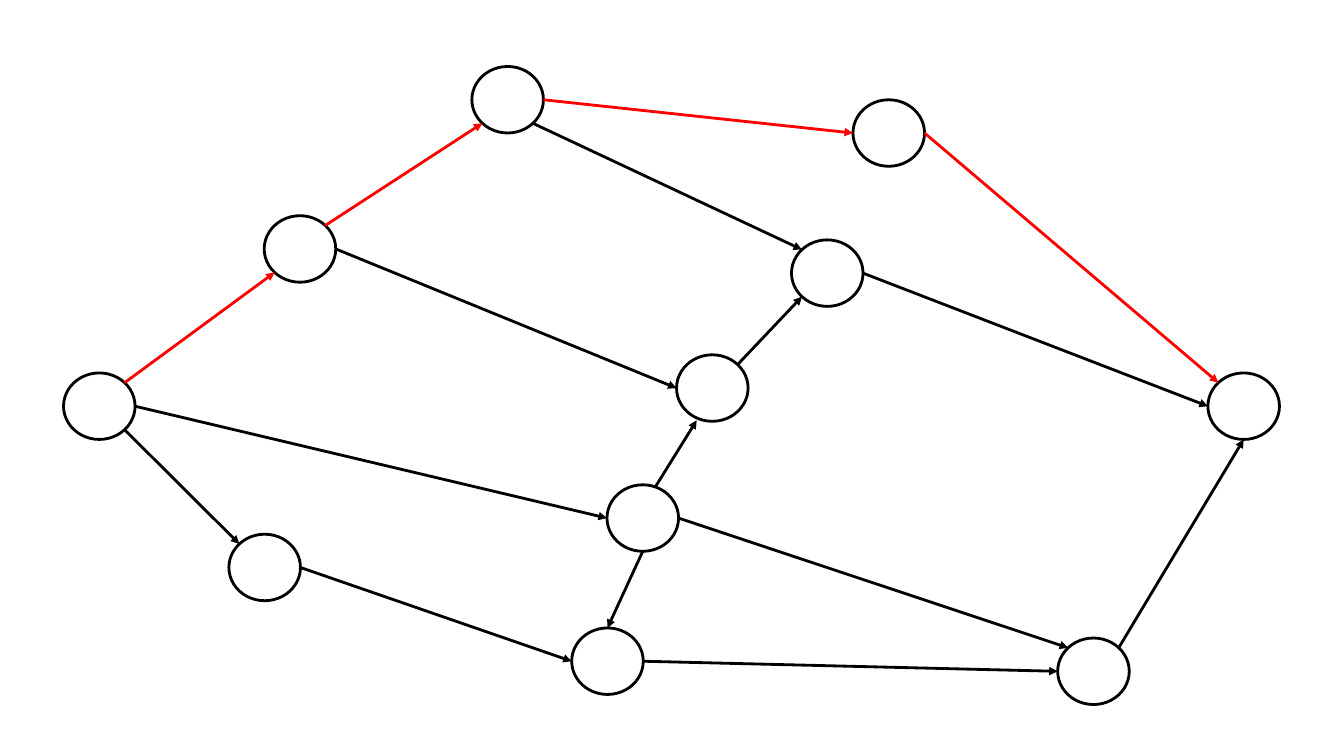
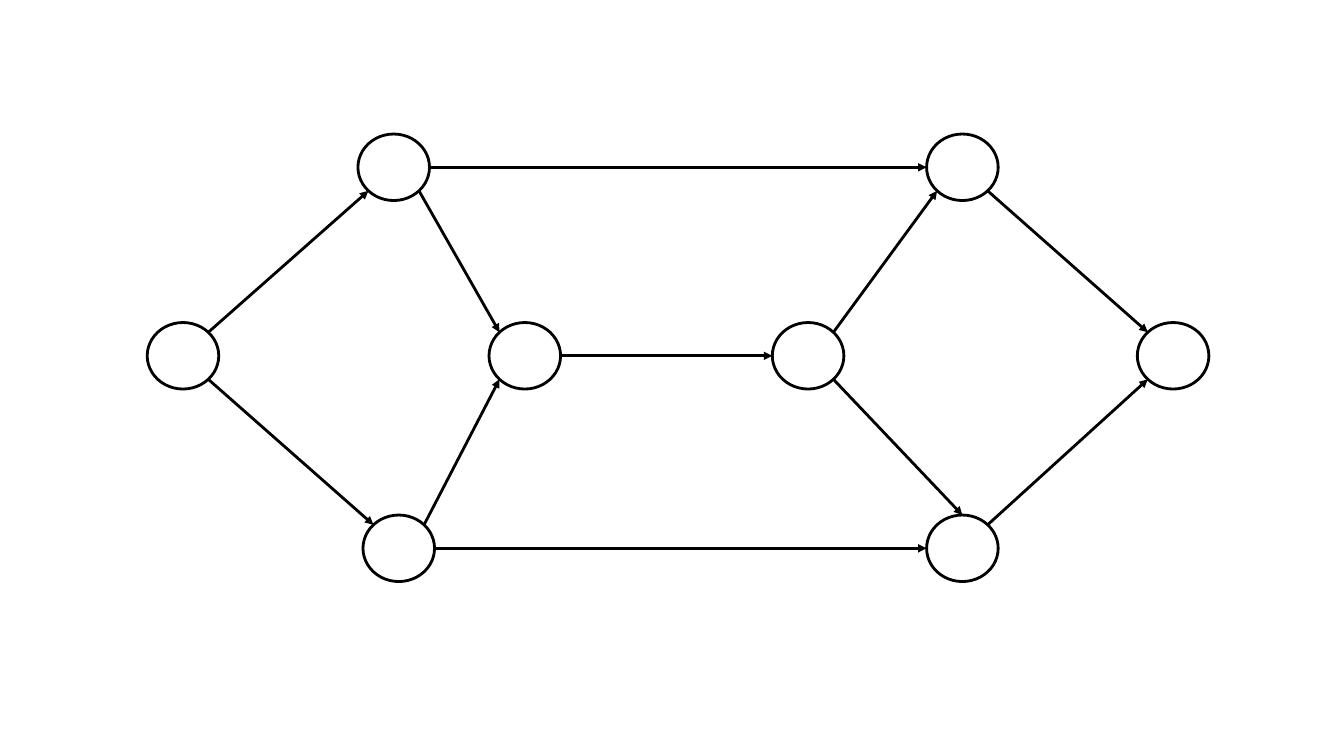
"""Build two slides of directed network diagrams with glued arrows."""
from dataclasses import dataclass
from enum import IntEnum
from math import cos, pi, sin

from lxml.etree import SubElement
from pptx import Presentation
from pptx.dml.color import RGBColor
from pptx.enum.shapes import MSO_CONNECTOR as Connector, MSO_SHAPE as Preset
from pptx.oxml.ns import qn
from pptx.shapes.autoshape import Shape
from pptx.shapes.connector import Connector as Arrow
from pptx.slide import Slide
from pptx.util import Inches, Pt

COLORS = {"line": "000000", "critical": "FF0000"}
NODE_WIDTH, NODE_HEIGHT = 0.71, 0.66
LINE_WIDTH = Pt(2)
Point = tuple[float, float]


class Site(IntEnum):
    TOP = 0
    TOP_LEFT = 1
    LEFT = 2
    BOTTOM_LEFT = 3
    BOTTOM = 4
    BOTTOM_RIGHT = 5
    RIGHT = 6
    TOP_RIGHT = 7


@dataclass(frozen=True)
class Link:
    source: str
    leave: Site
    target: str
    enter: Site
    color: str = "line"


@dataclass(frozen=True)
class FreeArrow:
    start: Point
    end: Point
    color: str = "line"


@dataclass(frozen=True)
class Network:
    nodes: dict[str, Point]
    links: tuple[Link, ...]
    free_arrows: tuple[FreeArrow, ...] = ()


ROUTES = Network(
    nodes={
        "start": (0.63, 3.7),
        "low": (2.27, 5.3),
        "high": (2.62, 2.14),
        "upper": (7.85, 2.38),
        "last": (10.49, 6.33),
        "peak": (4.68, 0.66),
        "crest": (8.46, 0.99),
        "base": (5.67, 6.23),
        "finish": (11.98, 3.7),
        "hub": (6.02, 4.81),
        "middle": (6.71, 3.52),
    },
    links=(
        Link("start", Site.TOP_RIGHT, "high", Site.BOTTOM_LEFT, "critical"),
        Link("high", Site.TOP_RIGHT, "peak", Site.BOTTOM_LEFT, "critical"),
        Link("start", Site.BOTTOM_RIGHT, "low", Site.TOP_LEFT),
        Link("last", Site.TOP_RIGHT, "finish", Site.BOTTOM),
        Link("crest", Site.RIGHT, "finish", Site.TOP_LEFT, "critical"),
        Link("hub", Site.RIGHT, "last", Site.TOP_LEFT),
        Link("upper", Site.RIGHT, "finish", Site.LEFT),
        Link("hub", Site.BOTTOM, "base", Site.TOP),
        Link("low", Site.RIGHT, "base", Site.LEFT),
        Link("peak", Site.RIGHT, "crest", Site.LEFT, "critical"),
        Link("base", Site.RIGHT, "last", Site.LEFT),
        Link("start", Site.RIGHT, "hub", Site.LEFT),
        Link("high", Site.RIGHT, "middle", Site.LEFT),
        Link("middle", Site.TOP_RIGHT, "upper", Site.BOTTOM_LEFT),
        Link("peak", Site.BOTTOM_RIGHT, "upper", Site.TOP_LEFT),
    ),
    free_arrows=(FreeArrow((6.5, 4.83), (6.91, 4.17)),),
)

TOP_ROW, MIDDLE_ROW, BOTTOM_ROW = 1.33, 3.2, 5.11
BRIDGE = Network(
    nodes={
        "start": (1.46, MIDDLE_ROW),
        "low": (3.6, BOTTOM_ROW),
        "high": (3.55, TOP_ROW),
        "far low": (9.19, BOTTOM_ROW),
        "split": (7.66, MIDDLE_ROW),
        "far high": (9.19, TOP_ROW),
        "finish": (11.28, MIDDLE_ROW),
        "merge": (4.85, MIDDLE_ROW),
    },
    links=(
        Link("start", Site.TOP_RIGHT, "high", Site.BOTTOM_LEFT),
        Link("start", Site.BOTTOM_RIGHT, "low", Site.TOP_LEFT),
        Link("far low", Site.TOP_RIGHT, "finish", Site.BOTTOM_LEFT),
        Link("far high", Site.BOTTOM_RIGHT, "finish", Site.TOP_LEFT),
        Link("high", Site.RIGHT, "far high", Site.LEFT),
        Link("merge", Site.RIGHT, "split", Site.LEFT),
        Link("low", Site.TOP_RIGHT, "merge", Site.BOTTOM_LEFT),
        Link("high", Site.BOTTOM_RIGHT, "merge", Site.TOP_LEFT),
        Link("low", Site.RIGHT, "far low", Site.LEFT),
        Link("split", Site.TOP_RIGHT, "far high", Site.BOTTOM_LEFT),
        Link("split", Site.BOTTOM_RIGHT, "far low", Site.TOP),
    ),
)


def site_point(corner: Point, site: Site) -> Point:
    angle = site * pi / 4
    left, top = corner
    return (
        left + NODE_WIDTH / 2 * (1 - sin(angle)),
        top + NODE_HEIGHT / 2 * (1 - cos(angle)),
    )


def draw_node(page: Slide, corner: Point) -> Shape:
    left, top = corner
    node = page.shapes.add_shape(
        Preset.OVAL, Inches(left), Inches(top), Inches(NODE_WIDTH), Inches(NODE_HEIGHT)
    )
    node.shadow.inherit = False
    node.fill.background()
    node.line.color.rgb = RGBColor.from_string(COLORS["line"])
    node.line.width = LINE_WIDTH
    return node


def draw_arrow(page: Slide, start: Point, end: Point, color: str) -> Arrow:
    ends = [Inches(length) for length in (*start, *end)]
    arrow = page.shapes.add_connector(Connector.STRAIGHT, *ends)
    arrow.line.color.rgb = RGBColor.from_string(COLORS[color])
    arrow.line.width = LINE_WIDTH
    properties = arrow.element.spPr
    SubElement(properties.find(qn("a:ln")), qn("a:tailEnd"), type="triangle")
    SubElement(properties, qn("a:effectLst"))
    return arrow


def draw_link(page: Slide, link: Link, network: Network, shapes: dict[str, Shape]) -> None:
    start = site_point(network.nodes[link.source], link.leave)
    end = site_point(network.nodes[link.target], link.enter)
    arrow = draw_arrow(page, start, end, link.color)
    joints = arrow.element.nvCxnSpPr.cNvCxnSpPr
    for tag, name, site in (
        ("a:stCxn", link.source, link.leave),
        ("a:endCxn", link.target, link.enter),
    ):
        SubElement(joints, qn(tag), id=str(shapes[name].shape_id), idx=str(site.value))


def draw_network(page: Slide, network: Network) -> None:
    shapes = {name: draw_node(page, corner) for name, corner in network.nodes.items()}
    for link in network.links:
        draw_link(page, link, network, shapes)
    for arrow in network.free_arrows:
        draw_arrow(page, arrow.start, arrow.end, arrow.color)


def main() -> None:
    deck = Presentation()
    deck.slide_width, deck.slide_height = Inches(13.33), Inches(7.5)
    blank = deck.slide_layouts[6]
    for network in (ROUTES, BRIDGE):
        draw_network(deck.slides.add_slide(blank), network)
    deck.save("out.pptx")


if __name__ == "__main__":
    main()
